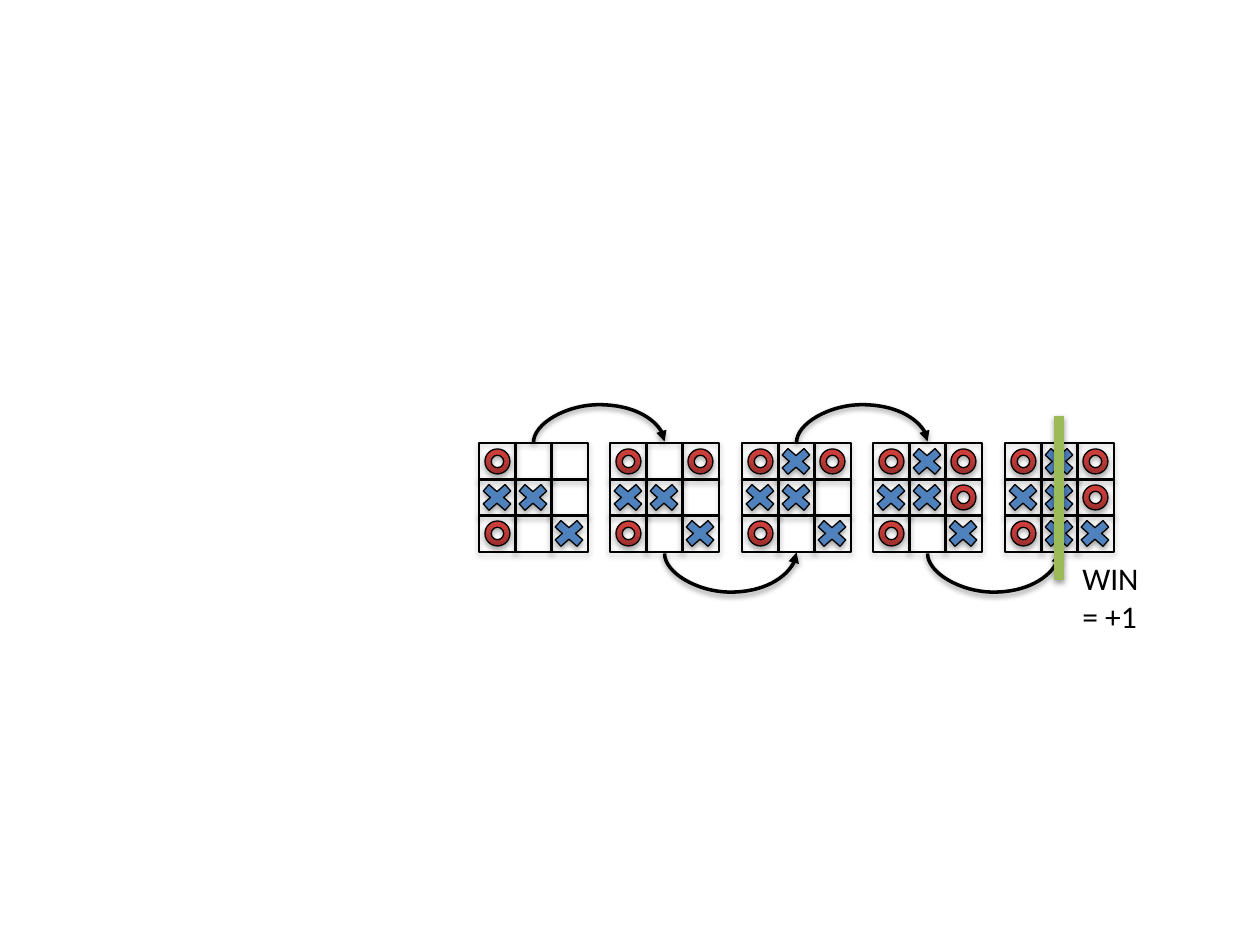
from copy import deepcopy

from lxml import etree
from pptx import Presentation
from pptx.dml.color import RGBColor
from pptx.enum.shapes import MSO_CONNECTOR, MSO_SHAPE
from pptx.oxml.ns import qn
from pptx.util import Emu, Pt

RECTANGLE = MSO_SHAPE.RECTANGLE
CROSS = MSO_SHAPE.MATH_MULTIPLY
DONUT = MSO_SHAPE.DONUT
CURVE = MSO_CONNECTOR.CURVE
STRAIGHT = MSO_CONNECTOR.STRAIGHT
EMU_PER_PIXEL = 914400 / 126


def px(value):
    return Emu(round(value * EMU_PER_PIXEL))


def color(value):
    return RGBColor.from_string(value)


class GameSlide:
    black = "000000"
    cross_blue = "4F81BD"
    donut_reds = ((0, "9C2F2D"), (0.8, "CB3E3A"), (1, "CE3B37"))
    win_green = "9BBB59"
    font = "Calibri"
    cell = 36

    def __init__(self, slide):
        self.slide = slide

    def shadow(self, properties, alpha, distance):
        effects = properties.find(qn("a:effectLst"))
        if effects is None:
            effects = etree.SubElement(properties, qn("a:effectLst"))
        outer = etree.SubElement(effects, qn("a:outerShdw"), blurRad="40000",
                                 dist=str(distance), dir="5400000", rotWithShape="0")
        tint = etree.SubElement(outer, qn("a:srgbClr"), val=self.black)
        etree.SubElement(tint, qn("a:alpha"), val=str(alpha * 1000))

    def shape(self, group, kind, left, top, width, height):
        shape = group.shapes.add_shape(kind, px(left), px(top), px(width), px(height))
        shape.fill.background()
        shape.line.color.rgb = color(self.black)
        shape.line.width = Pt(0.75)
        shape.shadow.inherit = False
        self.shadow(shape._element.spPr, 35, 23000)
        return shape

    def cross(self, group, center_x, center_y):
        shape = self.shape(group, CROSS, center_x - 21, center_y - 18, 42, 37)
        shape.adjustments[0] = 0.235
        shape.fill.solid()
        shape.fill.fore_color.rgb = color(self.cross_blue)

    def donut(self, group, center_x, center_y):
        shape = self.shape(group, DONUT, center_x - 12, center_y - 12, 25, 25)
        shape.adjustments[0] = 0.25
        shape.fill.gradient()
        shape.fill.gradient_angle = 90
        stop_list = shape._element.spPr.find(".//" + qn("a:gsLst"))
        stop_list.append(deepcopy(stop_list[-1]))
        for stop, (position, red) in zip(shape.fill.gradient_stops, self.donut_reds):
            stop.position = position
            stop.color.rgb = color(red)

    def board(self, left, top, rows):
        group = self.slide.shapes.add_group_shape()
        cells = [(left + column * self.cell, top + row * self.cell, mark)
                 for row, marks in enumerate(rows) for column, mark in enumerate(marks)]
        for x, y, mark in cells:
            self.shape(group, RECTANGLE, x, y, self.cell + 1, self.cell + 1)
        draw = {"X": self.cross, "O": self.donut}
        for x, y, mark in cells:
            if mark in draw:
                draw[mark](group, x + self.cell // 2, y + self.cell // 2)

    def connector(self, kind, start, end, line_color, width):
        connector = self.slide.shapes.add_connector(
            kind, px(start[0]), px(start[1]), px(end[0]), px(end[1]))
        connector.line.color.rgb = color(line_color)
        connector.line.width = Pt(width)
        self.shadow(connector._element.spPr, 38, 20000)
        return connector

    def arc(self, start_x, end_x, y, rise):
        middle = (start_x + end_x) / 2
        half = (end_x - start_x) / 2
        connector = self.connector(CURVE, (middle, y - half), (middle + 1, y + half),
                                   self.black, 2)
        properties = connector._element.spPr
        frame = properties.find(qn("a:xfrm"))
        for name, value in (("rot", "5400000"), ("flipH", "1"), ("flipV", "1")):
            frame.set(name, value)
        guides = properties.find(qn("a:prstGeom")).find(qn("a:avLst"))
        etree.SubElement(guides, qn("a:gd"), name="adj1", fmla=f"val {rise * 100000}")
        etree.SubElement(properties.find(qn("a:ln")), qn("a:tailEnd"), type="triangle")

    def text(self, left, top, width, height, content, size):
        frame = self.slide.shapes.add_textbox(
            px(left), px(top), px(width), px(height)).text_frame
        frame.word_wrap = True
        paragraph = frame.paragraphs[0]
        paragraph.text = content
        paragraph.font.name = self.font
        paragraph.font.size = Pt(size)
        paragraph.font.color.rgb = color(self.black)


presentation = Presentation()
presentation.slide_width = px(1260)
presentation.slide_height = px(945)
game = GameSlide(presentation.slides.add_slide(presentation.slide_layouts[6]))

positions = (
    ("O  ", "XX ", "O X"),
    ("O O", "XX ", "O X"),
    ("OXO", "XX ", "O X"),
    ("OXO", "XXO", "O X"),
    ("OXO", "XXO", "OXX"),
)
lefts = [479 + 263 * index // 2 for index in range(len(positions))]
centers = [left + 54 for left in lefts]

for left, rows in zip(lefts, positions):
    game.board(left, 443, rows)
for index, (start_x, end_x) in enumerate(zip(centers, centers[1:])):
    y, rise = (553, -39) if index % 2 else (442, 38)
    game.arc(start_x, end_x, y, rise)

game.connector(STRAIGHT, (centers[-1], 416), (centers[-1], 580), game.win_green, 6)
game.text(1070, 553, 89, 88, "WIN = +1", 18)

presentation.save("out.pptx")
